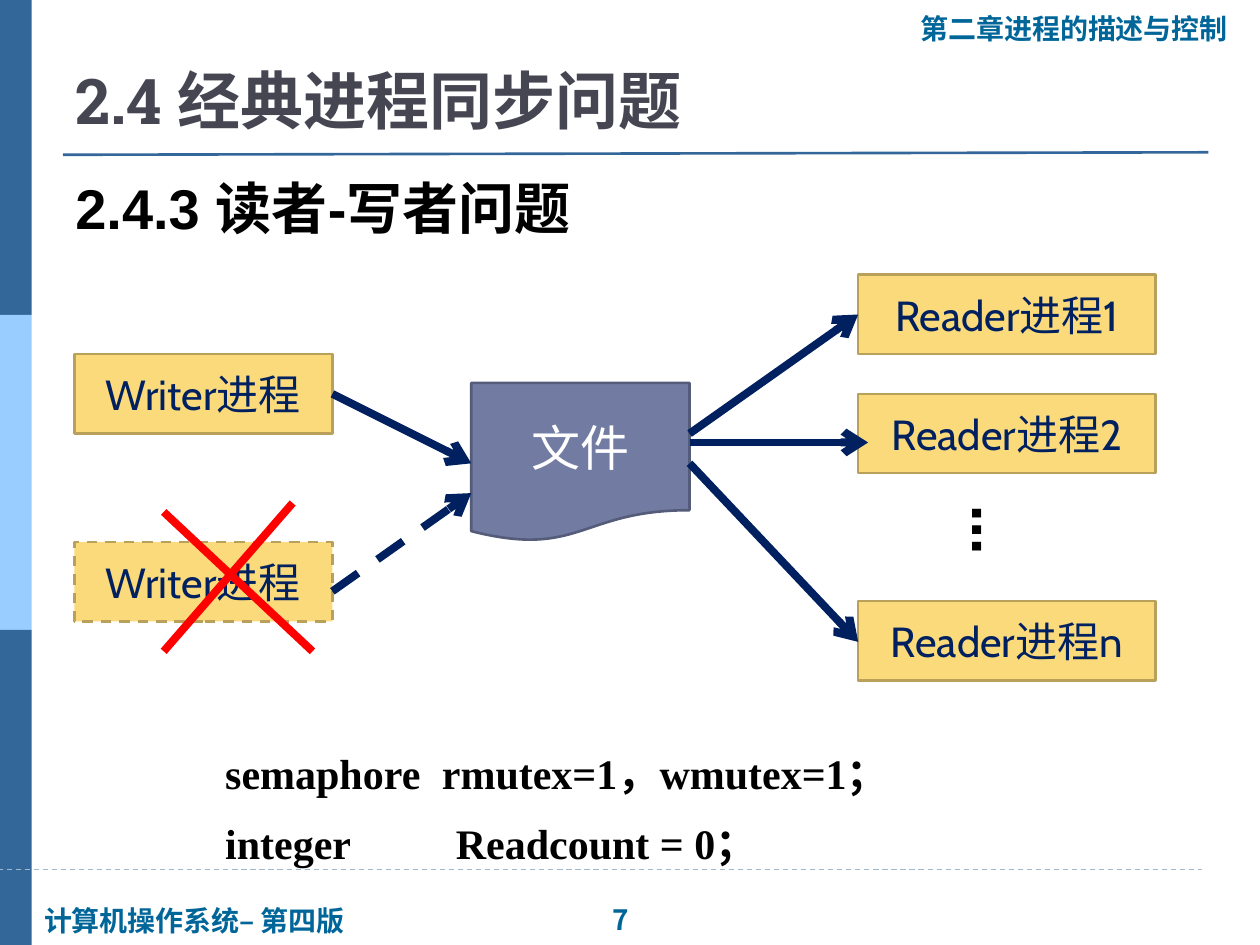
import pptx
import pptx.util
import pptx.dml.color
import pptx.enum.dml
import pptx.enum.shapes
import pptx.enum.text
import pptx.oxml.ns
from lxml import etree

Cm, Pt = pptx.util.Cm, pptx.util.Pt
SHAPE = pptx.enum.shapes.MSO_SHAPE
ALIGN = pptx.enum.text.PP_ALIGN
ANCHOR = pptx.enum.text.MSO_ANCHOR
DASH = pptx.enum.dml.MSO_LINE.DASH
qn = pptx.oxml.ns.qn

BLUE, TEAL, NAVY, BLACK = "336699", "006699", "002060", "000000"


def colour(value):
    return pptx.dml.color.RGBColor.from_string(value)


def format_text(frame, size, font, text_colour, bold=False, align=ALIGN.LEFT):
    for para in frame.paragraphs:
        para.alignment = align
        for span in para.runs:
            span.font.size = Pt(size)
            span.font.name = font
            span.font.bold = bold
            span.font.color.rgb = colour(text_colour)


def add_text(page, box, text, size, font, text_colour, wrap=False):
    label = page.shapes.add_textbox(*map(Cm, box))
    frame = label.text_frame
    frame.word_wrap = wrap
    frame.text = text
    format_text(frame, size, font, text_colour, bold=True)
    return frame


def add_block(page, kind, box, fill, outline=None, dash=None):
    block = page.shapes.add_shape(kind, *map(Cm, box))
    block.shadow.inherit = False
    block.fill.solid()
    block.fill.fore_color.rgb = colour(fill)
    if outline:
        block.line.color.rgb = colour(outline)
        block.line.width = Pt(1.5)
        block.line.dash_style = dash
    else:
        block.line.fill.background()
    return block


def add_line(page, start, end, line_colour, width, dash=None, arrow=False):
    line = page.shapes.add_connector(
        pptx.enum.shapes.MSO_CONNECTOR.STRAIGHT, *map(Cm, start + end))
    line.line.color.rgb = colour(line_colour)
    line.line.width = Pt(width)
    line.line.dash_style = dash
    if arrow:
        etree.SubElement(line.line._get_or_add_ln(), qn("a:tailEnd"), type="arrow")
    etree.SubElement(line._element.spPr, qn("a:effectLst"))


def add_frame(page, width, height):
    # Side strip in three equal bands
    band = height / 3
    for index, fill in enumerate((BLUE, "99CCFF", BLUE)):
        add_block(page, SHAPE.RECTANGLE, (0, index * band, 0.64, band), fill)
    # Header, footer and their rules
    add_line(page, (1.27, 3.12), (width - 1.04, 3.07), BLUE, 1.5)
    add_line(page, (-0.23, 17.53), (24.23, 17.53), "9FB8CD", 0.75, DASH.DASH)
    add_text(page, (18.31, 0.1, 6.78, 0.94), "第二章进程的描述与控制", 16, "Roboto", TEAL)
    add_text(page, (0.64, 18.08, 6.73, 0.94), "计算机操作系统– 第四版", 16, "Roboto", TEAL)
    add_text(page, (12.09, 18.06, 1.37, 0.94), "7", 16, "Noto Sans CJK JP", TEAL)


def add_headings(page, box):
    left, top, width, height = box
    title = page.shapes.title
    title.left, title.top, title.width, title.height = map(Cm, box)
    frame = title.text_frame
    frame.text = "2.4 经典进程同步问题"
    frame.auto_size = pptx.enum.text.MSO_AUTO_SIZE.NONE
    frame.vertical_anchor = ANCHOR.BOTTOM
    format_text(frame, 36, "Roboto Slab", "464653", bold=True)
    subtitle = add_text(page, (left, top + 2.34, width, height), "2.4.3 读者-写者问题",
                        32, "Arial", BLACK, wrap=True)
    subtitle.paragraphs[0].space_before = Pt(6)


def add_process(page, box, text, dash=None):
    process = add_block(page, SHAPE.RECTANGLE, box, "FADA7A", "B9A15A", dash)
    process.text_frame.text = text
    process.text_frame.vertical_anchor = ANCHOR.MIDDLE
    format_text(process.text_frame, 24, "Cabin", NAVY, align=ALIGN.CENTER)


def add_diagram(page, box):
    left, top, width, height = box
    process_height, writer_width, reader_width = 1.6, 5.2, 6.0
    writer_right = left + writer_width
    reader_left = left + width - reader_width

    # Shared file
    file_left, file_width = left + 8, 4.4
    file_right = file_left + file_width
    document = add_block(page, SHAPE.FLOWCHART_DOCUMENT,
                         (file_left, top + 2.18, file_width, 3.2), "727CA3", "545C79")
    document.text_frame.text = "文件"
    document.text_frame.vertical_anchor = ANCHOR.MIDDLE
    format_text(document.text_frame, 28, "Cabin", "FFFFFF", align=ALIGN.CENTER)

    # Writers: y of box, arrow start, arrow end, dash
    for y, start, end, dash in ((1.6, 2.4, 3.8, None), (5.39, 6.38, 4.4, DASH.DASH)):
        add_process(page, (left, top + y, writer_width, process_height), "Writer进程", dash)
        add_line(page, (writer_right, top + start), (file_left, top + end),
                 NAVY, 4.5, dash, arrow=True)

    # Readers: name, y of box, arrow start, arrow tip (x offset, y)
    readers = (("1", 0, 3.2, (0, 0.8)),
               ("2", 2.4, 3.38, (0.2, 3.38)),
               ("n", height - process_height, 3.8, (0, 7.4)))
    for name, y, start, (tip_x, tip_y) in readers:
        add_process(page, (reader_left, top + y, reader_width, process_height),
                    f"Reader进程{name}")
        add_line(page, (file_right, top + start), (reader_left + tip_x, top + tip_y),
                 NAVY, 4.5, arrow=True)
    dots = add_text(page, (reader_left + 1.6, top + 4.4, 2.24, 1.63), "…", 40, "Cabin", BLACK)
    dots._txBody.bodyPr.set("vert", "eaVert")

    # Red cross over the blocked writer
    cross_left, cross_bottom = left + 1.8, top + 7.59
    add_line(page, (cross_left, top + 4.78), (left + 4.8, cross_bottom), "FF0000", 4.5)
    add_line(page, (cross_left, cross_bottom), (left + 4.4, top + 4.6), "FF0000", 4.5)


def add_declarations(page, box):
    frame = add_text(page, box, "semaphore\trmutex=1，wmutex=1；\ninteger\tReadcount = 0；",
                     24, "Times New Roman", BLACK, wrap=True)
    for para, stop in zip(frame.paragraphs, (4.37, 4.65)):
        para.line_spacing = 1.4
        tabs = etree.SubElement(para._p.get_or_add_pPr(), qn("a:tabLst"))
        etree.SubElement(tabs, qn("a:tab"), pos=str(Cm(stop)), algn="l")


def main():
    width, height = 25.4, 19.05
    deck = pptx.Presentation()
    deck.slide_width, deck.slide_height = Cm(width), Cm(height)
    page = deck.slides.add_slide(deck.slide_layouts[5])
    add_frame(page, width, height)
    add_headings(page, (1.27, 1.04, 22.86, 1.85))
    add_diagram(page, (1.5, 5.54, 21.8, 8.18))
    add_declarations(page, (4.29, 14.53, 16.2, 3.12))
    deck.save("out.pptx")


if __name__ == "__main__":
    main()
